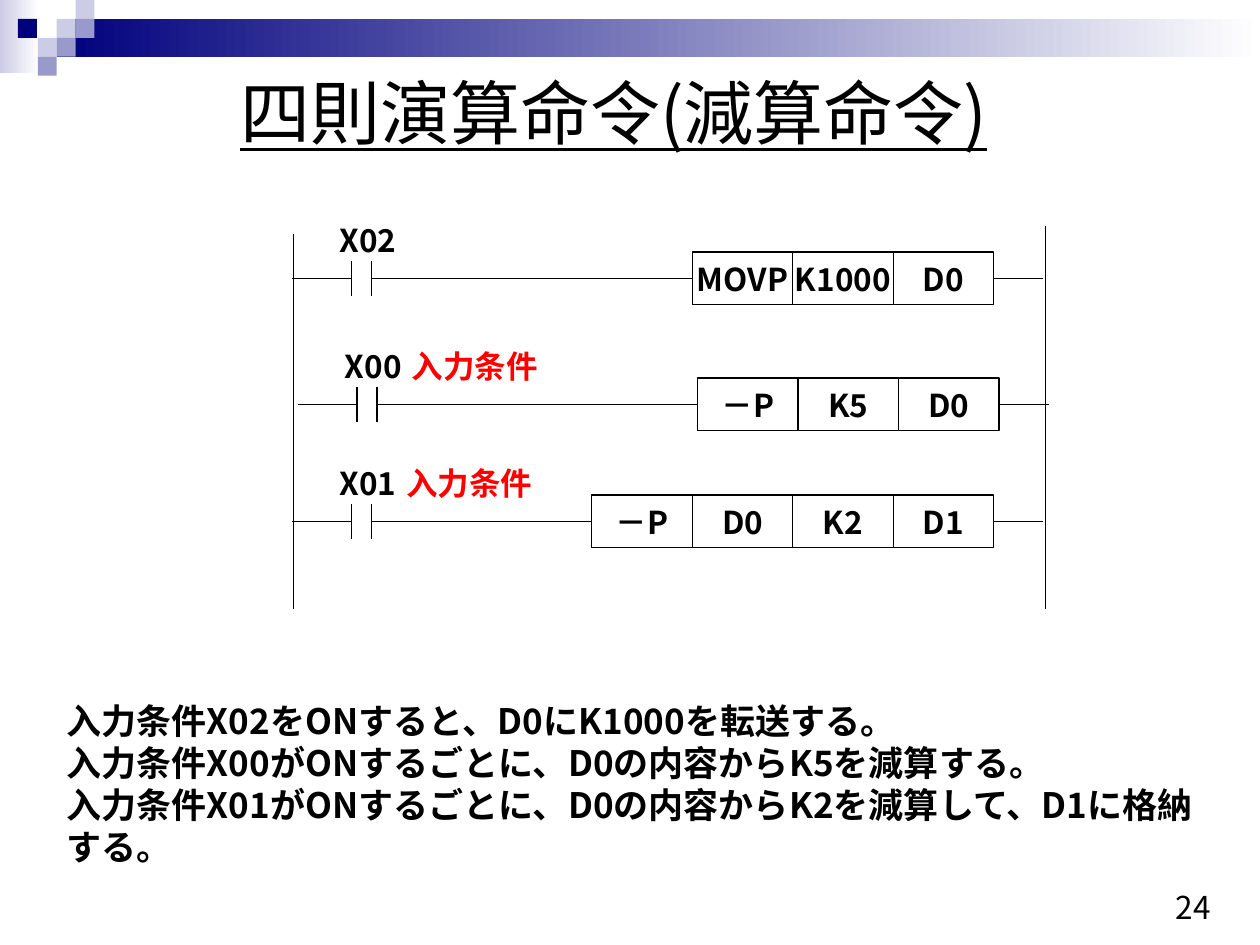
from lxml import etree
from pptx import Presentation
from pptx.dml.color import RGBColor
from pptx.enum.shapes import MSO_CONNECTOR, MSO_SHAPE
from pptx.enum.text import MSO_ANCHOR, PP_ALIGN
from pptx.oxml.ns import qn
from pptx.util import Pt

RECT = MSO_SHAPE.RECTANGLE
LINE = MSO_CONNECTOR.STRAIGHT
LEFT, MID, RIGHT = PP_ALIGN.LEFT, PP_ALIGN.CENTER, PP_ALIGN.RIGHT
TOP, CENTER = MSO_ANCHOR.TOP, MSO_ANCHOR.MIDDLE
FONT = "Noto Sans CJK JP"
BLACK, WHITE, RED = "000000", "FFFFFF", "FF0000"
NAVY, PALE, LILAC = "00007D", "CCCCE6", "9999CC"


def color(code):
    return RGBColor.from_string(code)


def write(shape, text, size=18, tint=BLACK, bold=True, under=False,
          align=MID, anchor=CENTER, wrap=False):
    frame = shape.text_frame
    frame.text = text
    frame.word_wrap = wrap
    frame.vertical_anchor = anchor
    for para in frame.paragraphs:
        para.alignment = align
        for run in para.runs:
            font = run.font
            font.size, font.bold, font.underline = Pt(size), bold, under
            font.name = FONT
            font.color.rgb = color(tint)
            east = etree.SubElement(font._element, qn("a:ea"))
            east.set("typeface", FONT)


def label(slide, box, text, **style):
    write(slide.shapes.add_textbox(*map(Pt, box)), text, **style)


def block(slide, box, fill, fade=None, edge=None):
    shape = slide.shapes.add_shape(RECT, *map(Pt, box))
    shape.shadow.inherit = False
    if fade:
        shape.fill.gradient()
        shape.fill.gradient_angle = 0
        for stop, code, place in zip(shape.fill.gradient_stops, (fill, fade), (0, 1)):
            stop.color.rgb = color(code)
            stop.position = place
    else:
        shape.fill.solid()
        shape.fill.fore_color.rgb = color(fill)
    if edge:
        shape.line.color.rgb = color(edge)
        shape.line.width = Pt(0.75)
    else:
        shape.line.fill.background()
    return shape


def wire(slide, x1, y1, x2, y2):
    line = slide.shapes.add_connector(LINE, Pt(x1), Pt(y1), Pt(x2), Pt(y2))
    line.line.color.rgb = color(BLACK)
    line.line.width = Pt(0.75)
    etree.SubElement(line._element.spPr, qn("a:effectLst"))


def banner(slide, box):
    x, y, width, height = box
    unit = 10.8
    block(slide, (x, y, 22.3, height), PALE, WHITE)
    block(slide, (x + 3 * unit, y + unit, width - 3 * unit, 2 * unit), NAVY, WHITE)
    tiles = [(3, 1, PALE), (4, 0, PALE), (4, 1, LILAC), (2, 2, PALE),
             (0.95, 1, NAVY), (3, 2, LILAC), (2, 3, LILAC)]
    for col, row, fill in tiles:
        block(slide, (x + col * unit, y + row * unit, unit, unit), fill)


def rung(slide, box, name, note, cells):
    x, y, width, height = box
    near, far = x + 33.9, x + 45.4
    cell = 57.4
    end = x + width - 28.4
    start = end - cell * len(cells)
    wire(slide, x, y, near, y)
    wire(slide, far, y, start, y)
    wire(slide, end, y, x + width, y)
    for bar in (near, far):
        wire(slide, bar, y - 10, bar, y + 10)
    label(slide, (x + 17.3, y - 35.2, 51.8, 26), name)
    if note:
        label(slide, (x + 54.2, y - 35, 90, 26), note, tint=RED, align=RIGHT)
    for i, text in enumerate(cells):
        part = block(slide, (start + i * cell, y - height / 2, cell, height),
                     WHITE, edge=BLACK)
        write(part, text)


def ladder(slide, box):
    x, y, width, height = box
    wire(slide, x, y + 5, x, y + height)
    wire(slide, x + width, y, x + width, y + height)
    rungs = [
        (-0.8, 30.2, "X02", None, ["MOVP", "K1000", "D0"]),
        (2.3, 102.2, "X00", "入力条件", ["－P", "K5", "D0"]),
        (-0.8, 169.1, "X01", "入力条件", ["－P", "D0", "K2", "D1"]),
    ]
    for dx, dy, name, note, cells in rungs:
        rung(slide, (x + dx, y + dy, 429.2, 30.2), name, note, cells)


def main():
    deck = Presentation()
    deck.slide_width, deck.slide_height = Pt(720), Pt(540)
    slide = deck.slides.add_slide(deck.slide_layouts[6])
    banner(slide, (0, 0, 720, 42))
    label(slide, (31, 396, 673.2, 103), "\n".join([
        "入力条件X02をONすると、D0にK1000を転送する。",
        "入力条件X00がONするごとに、D0の内容からK5を減算する。",
        "入力条件X01がONするごとに、D0の内容からK2を減算して、D1に格納する。",
    ]), size=20, align=LEFT, anchor=TOP, wrap=True)
    label(slide, (41.8, 36, 617.8, 55.4), "四則演算命令(減算命令)",
          size=40, bold=False, under=True, anchor=TOP, wrap=True)
    ladder(slide, (167.8, 128.9, 429.8, 218.9))
    label(slide, (643.7, 496.8, 76.3, 43.2), "24", bold=False, wrap=True)
    deck.save("out.pptx")


if __name__ == "__main__":
    main()
